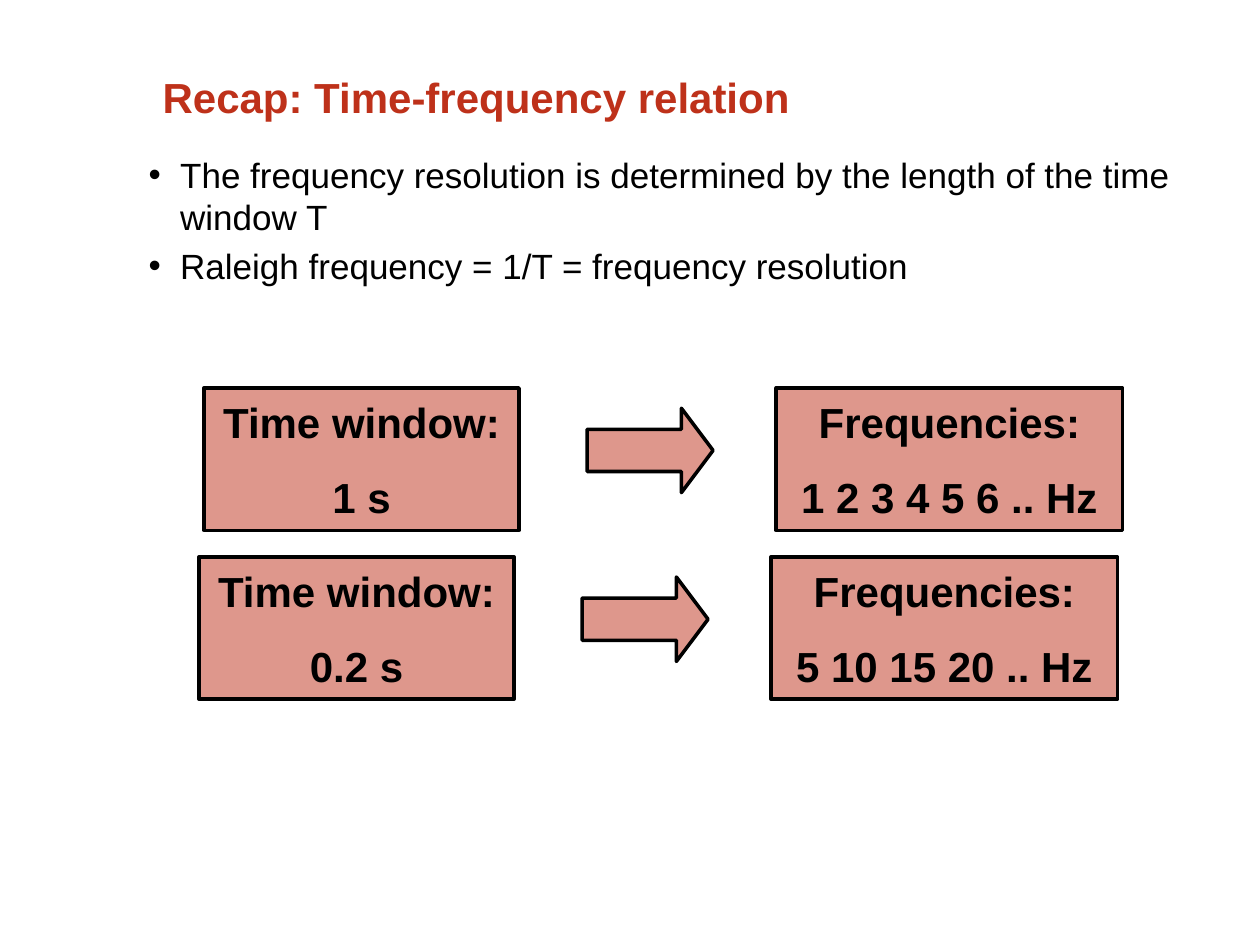
from lxml import etree
from pptx import Presentation
from pptx import util as u
from pptx.dml.color import RGBColor
from pptx.enum import shapes, text
from pptx.oxml.ns import qn

BRICK = RGBColor(0xBE, 0x31, 0x1A)
BLACK = RGBColor(0x00, 0x00, 0x00)
FONT = "Arial"

# Columns of a row, measured from the row's left edge: (offset, width)
WINDOW_COL, ARROW_COL, FREQUENCY_COL = (0, 2.5), (3.04, 1), (4.54, 2.75)
BOX_HEIGHT, ARROW_HEIGHT = 1.13, 0.67

TITLE = "Recap: Time-frequency relation"
POINTS = [
    "The frequency resolution is determined by the length of the time window T",
    "Raleigh frequency = 1/T = frequency resolution",
]
# Left, top, time window, resulting frequencies
ROWS = [
    (1.58, 4.42, "0.2 s", "5 10 15 20 .. Hz"),
    (1.62, 3.08, "1 s", "1 2 3 4 5 6 .. Hz"),
]


def add_run(paragraph, words, size, color, bold=False):
    run = paragraph.add_run()
    run.text = words
    run.font.name = FONT
    run.font.size = u.Pt(size)
    run.font.bold = bold
    run.font.color.rgb = color


def place(placeholder, left, top, width, height):
    placeholder.left, placeholder.top = u.Inches(left), u.Inches(top)
    placeholder.width, placeholder.height = u.Inches(width), u.Inches(height)
    placeholder.text_frame.auto_size = text.MSO_AUTO_SIZE.NONE
    return placeholder.text_frame


def paragraphs(frame, count):
    return [frame.paragraphs[0]] + [frame.add_paragraph() for _ in range(count - 1)]


def fill_title(placeholder):
    frame = place(placeholder, 1.19, 0.58, 8.44, 0.47)
    frame.vertical_anchor = text.MSO_ANCHOR.MIDDLE
    heading = frame.paragraphs[0]
    heading.alignment = text.PP_ALIGN.LEFT
    heading.line_spacing = 0.72
    add_run(heading, TITLE, 24, BRICK, bold=True)


def fill_points(placeholder):
    frame = place(placeholder, 1.08, 1.17, 8.44, 4.52)
    for point, words in zip(paragraphs(frame, len(POINTS)), POINTS):
        point.space_before = u.Pt(4)
        add_run(point, words, 20, BLACK)
        # Hanging bullet
        props = point._p.get_or_add_pPr()
        props.set("marL", str(u.Inches(0.25)))
        props.set("indent", str(-u.Inches(0.25)))
        etree.SubElement(props, qn("a:buChar")).set("char", "•")


def add_brick_shape(parent, kind, left, top, column, height):
    offset, width = column
    shape = parent.add_shape(kind, u.Inches(left + offset), u.Inches(top),
                             u.Inches(width), u.Inches(height))
    shape.shadow.inherit = False
    shape.fill.solid()
    shape.fill.fore_color.rgb = BRICK
    # Half-transparent fill
    color = shape.fill._xPr.find(qn("a:solidFill"))[0]
    etree.SubElement(color, qn("a:alpha")).set("val", "50000")
    shape.line.color.rgb = BLACK
    shape.line.width = u.Pt(2)
    return shape


def add_box(parent, left, top, column, lines):
    box = add_brick_shape(parent, shapes.MSO_SHAPE.RECTANGLE, left, top, column, BOX_HEIGHT)
    frame = box.text_frame
    frame.vertical_anchor = text.MSO_ANCHOR.MIDDLE
    for number, (line, words) in enumerate(zip(paragraphs(frame, len(lines)), lines)):
        line.alignment = text.PP_ALIGN.CENTER
        line.space_before = u.Pt(13.8 if number else 0)
        add_run(line, words, 24, BLACK, bold=True)


def add_arrow(parent, left, top):
    arrow_top = top + (BOX_HEIGHT - ARROW_HEIGHT) / 2 - 0.07
    arrow = add_brick_shape(parent, shapes.MSO_SHAPE.RIGHT_ARROW, left, arrow_top,
                            ARROW_COL, ARROW_HEIGHT)
    arrow.adjustments[0], arrow.adjustments[1] = 0.5, 0.375


def add_row(slide, left, top, window, frequencies):
    add_box(slide.shapes, left, top, WINDOW_COL, ["Time window:", window])
    result = slide.shapes.add_group_shape().shapes
    add_arrow(result, left, top)
    add_box(result, left, top, FREQUENCY_COL, ["Frequencies:", frequencies])


def main():
    deck = Presentation()
    deck.slide_width, deck.slide_height = u.Inches(10), u.Inches(7.5)
    slide = deck.slides.add_slide(deck.slide_layouts[1])

    # Title and list
    fill_title(slide.shapes.title)
    fill_points(slide.placeholders[1])

    # Time windows and their frequencies
    for row in ROWS:
        add_row(slide, *row)

    deck.save("out.pptx")


if __name__ == "__main__":
    main()
